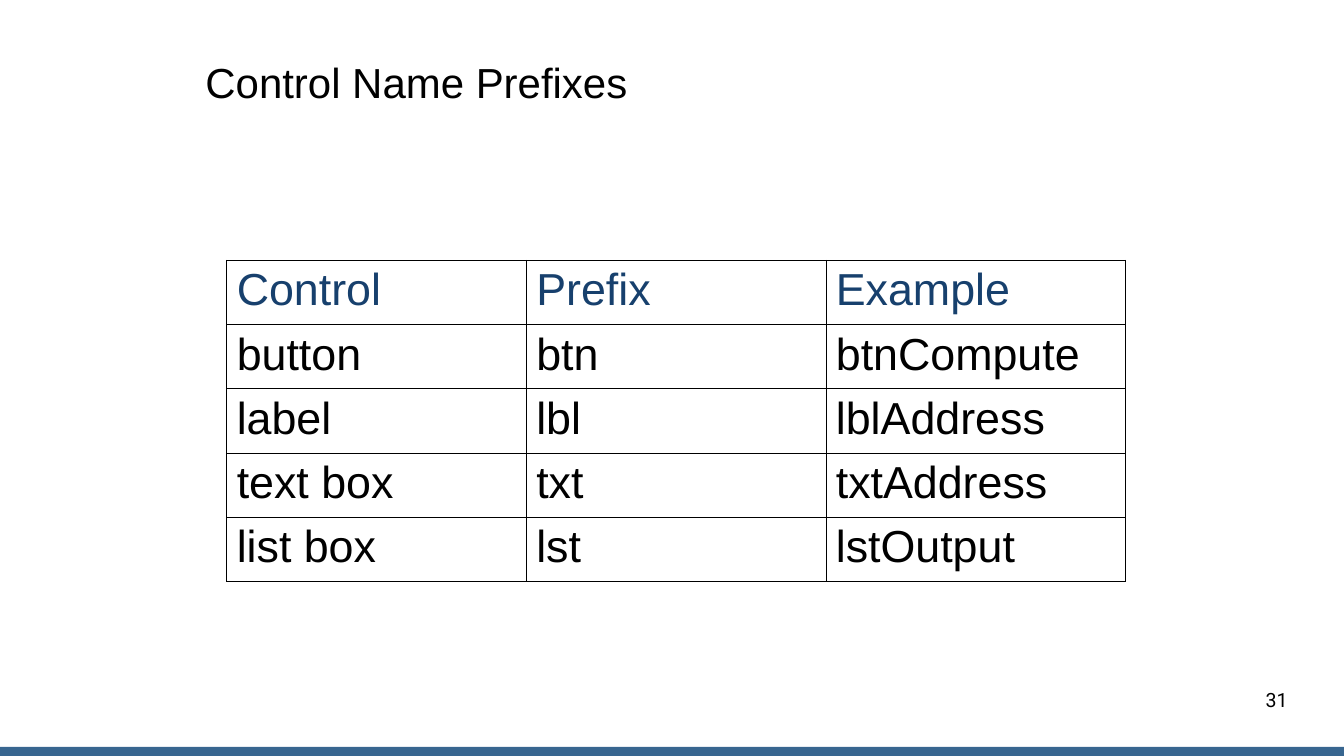
from lxml.etree import SubElement
from pptx import Presentation
from pptx.dml.color import RGBColor
from pptx.enum.shapes import MSO_SHAPE
from pptx.enum.text import MSO_ANCHOR, PP_ALIGN
from pptx.oxml.ns import qn
from pptx.util import Inches, Pt

COLORS = {"bar": "386690", "head": "17406D", "text": "000000"}
ROWS = [
    ("Control", "Prefix", "Example"),
    ("button", "btn", "btnCompute"),
    ("label", "lbl", "lblAddress"),
    ("text box", "txt", "txtAddress"),
    ("list box", "lst", "lstOutput"),
]


def add_run(frame, text, size, color="text", face="Arial"):
    para = frame.paragraphs[0]
    run = para.add_run()
    run.text = text
    run.font.name = face
    run.font.size = Pt(size)
    run.font.color.rgb = RGBColor.from_string(COLORS[color])
    return para


def add_edges(cell):
    props = cell._tc.get_or_add_tcPr()
    for pos, side in enumerate(("a:lnL", "a:lnR", "a:lnT", "a:lnB")):
        line = SubElement(props, qn(side), w=str(Pt(0.45)))
        fill = SubElement(line, qn("a:solidFill"))
        SubElement(fill, qn("a:srgbClr"), val=COLORS["text"])
        props.insert(pos, line)


deck = Presentation()
deck.slide_width = Inches(13.34)
deck.slide_height = Inches(7.5)
slide = deck.slides.add_slide(deck.slide_layouts[6])
shapes = slide.shapes

bar = shapes.add_shape(
    MSO_SHAPE.RECTANGLE, 0, Inches(7.41), deck.slide_width, Inches(0.09)
)
bar.shadow.inherit = False
bar.fill.solid()
bar.fill.fore_color.rgb = RGBColor.from_string(COLORS["bar"])
bar.line.fill.background()

title = shapes.add_textbox(Inches(1.94), Inches(0.44), Inches(7.89), Inches(0.81))
title.text_frame.word_wrap = True
title.text_frame.vertical_anchor = MSO_ANCHOR.MIDDLE
add_run(title.text_frame, "Control Name Prefixes", 30).line_spacing = 0.9

table = shapes.add_table(
    len(ROWS), len(ROWS[0]), Inches(2.25), Inches(2.58), Inches(8.92), Inches(3.19)
).table
table.horz_banding = False
for r, words in enumerate(ROWS):
    for c, word in enumerate(words):
        cell = table.cell(r, c)
        cell.fill.background()
        add_edges(cell)
        add_run(cell.text_frame, word, 32, "text" if r else "head").font.bold = False
table.first_row = False

number = shapes.add_textbox(Inches(12.28), Inches(6.74), Inches(0.6), Inches(0.4))
number.text_frame.word_wrap = True
number.text_frame.vertical_anchor = MSO_ANCHOR.MIDDLE
add_run(number.text_frame, "31", 14, face="Roboto").alignment = PP_ALIGN.RIGHT

deck.save("out.pptx")
